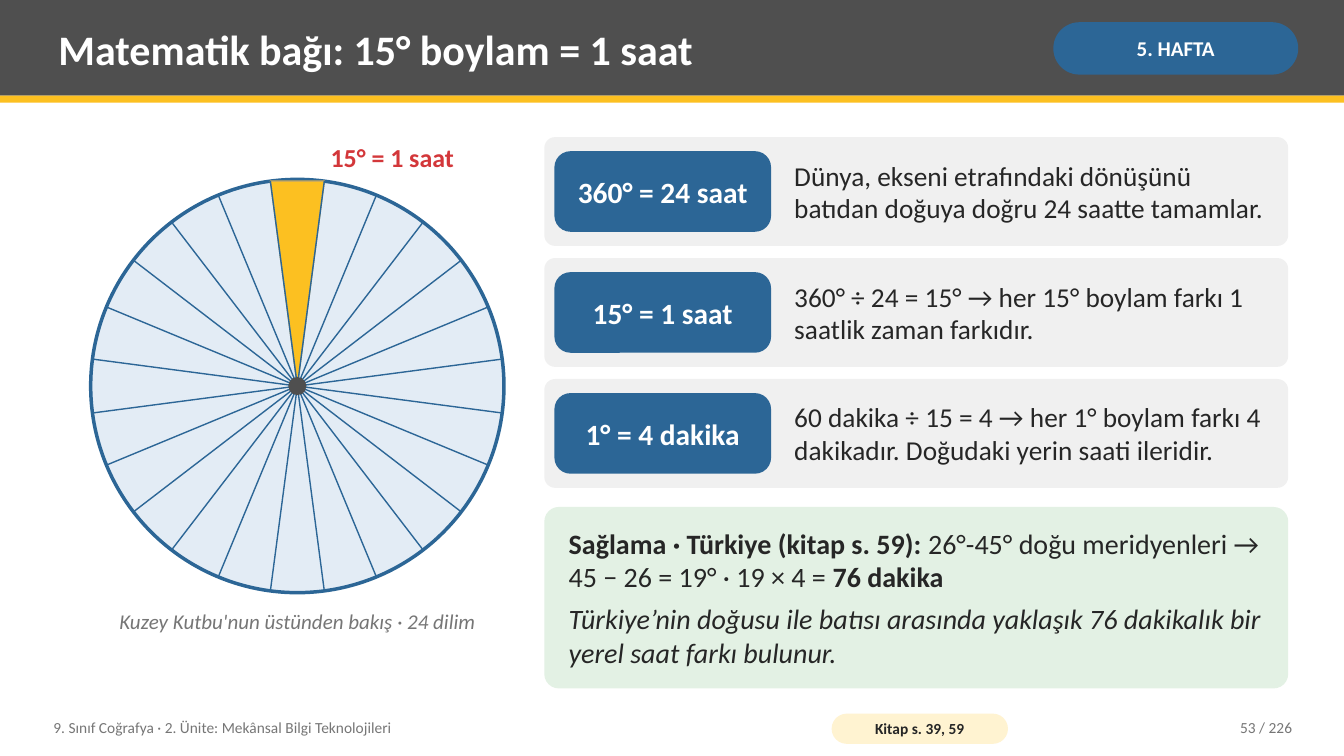
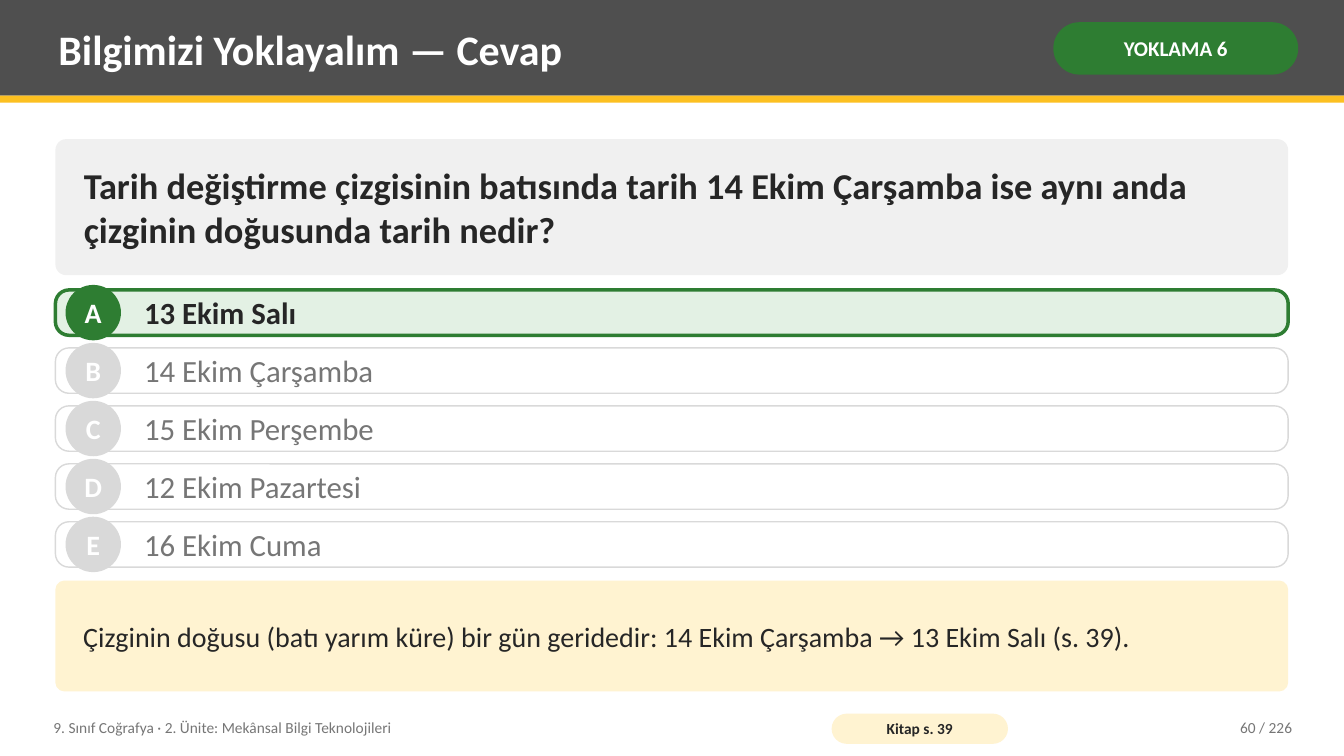
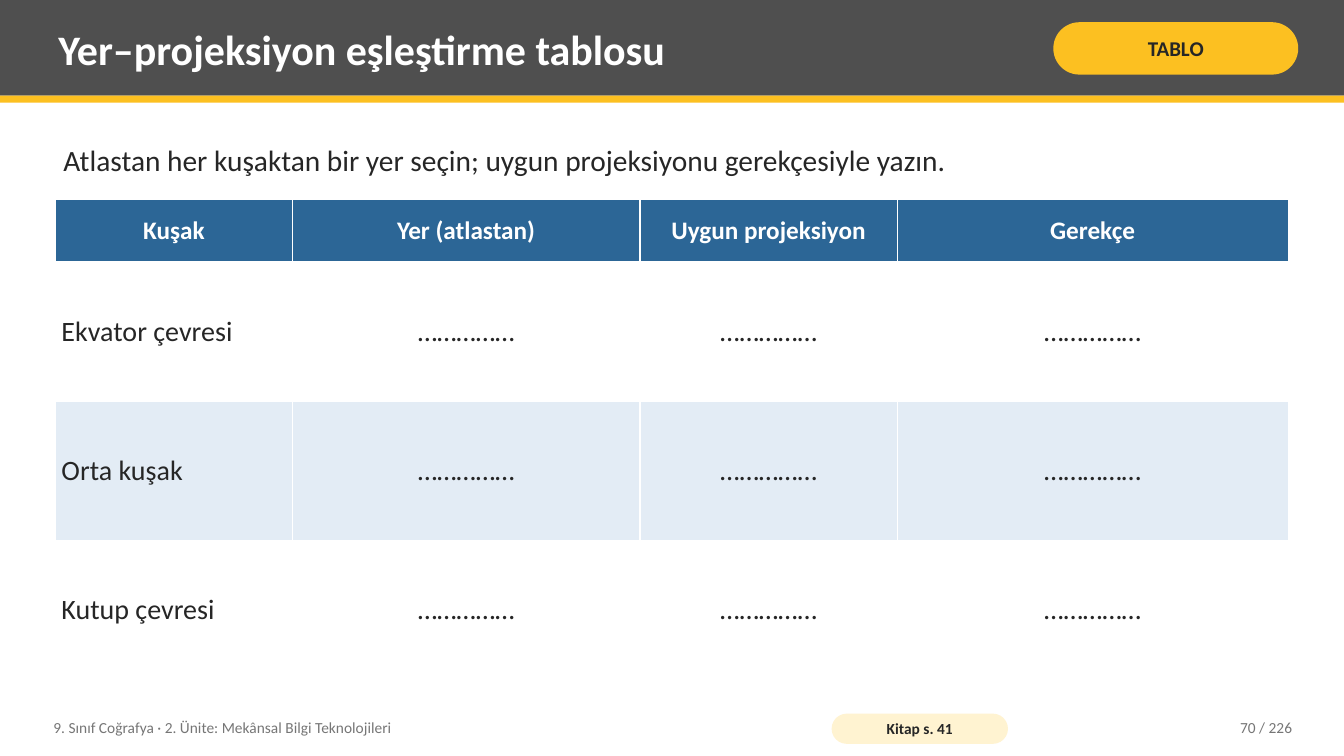
"""Build three geography lesson slides: a time wheel, a quiz answer and a matching table."""
from dataclasses import dataclass
from math import cos, pi, sin
from typing import Any, NamedTuple

from lxml import etree
from pptx import Presentation
from pptx.dml.color import RGBColor
from pptx.enum.shapes import MSO_CONNECTOR, MSO_SHAPE
from pptx.enum.text import MSO_ANCHOR, PP_ALIGN
from pptx.oxml.ns import qn
from pptx.util import Pt

RECT = MSO_SHAPE.RECTANGLE
ROUND = MSO_SHAPE.ROUNDED_RECTANGLE
OVAL = MSO_SHAPE.OVAL
WEDGE = MSO_SHAPE.FLOWCHART_MERGE
STRAIGHT = MSO_CONNECTOR.STRAIGHT
MIDDLE = MSO_ANCHOR.MIDDLE
LEFT, CENTER, RIGHT = PP_ALIGN.LEFT, PP_ALIGN.CENTER, PP_ALIGN.RIGHT


@dataclass(frozen=True)
class Theme:
    font: str = "Calibri"
    white: str = "FFFFFF"
    ink: str = "262626"
    muted: str = "767676"
    band: str = "4F4F4F"
    yellow: str = "FCC021"
    cream: str = "FFF3D1"
    gold: str = "CEAC58"
    blue: str = "2C6696"
    ice: str = "E3ECF5"
    green: str = "2E7D32"
    mint: str = "E3F1E4"
    red: str = "D3373A"
    panel: str = "F0F0F0"
    rule: str = "D9D9D9"
    title: float = 30
    question: float = 26
    option: float = 22
    lead: float = 21
    body: float = 20
    fact: float = 19.5
    callout: float = 18.5
    table_head: float = 18
    label: float = 15
    footer: float = 11


T = Theme()


class Box(NamedTuple):
    x: float
    y: float
    w: float
    h: float


class Run(NamedTuple):
    text: str
    size: float
    color: str = T.ink
    bold: bool = False
    italic: bool = False


class Line(NamedTuple):
    color: str
    width: float


class Fact(NamedTuple):
    rule: str
    reason: str


class Option(NamedTuple):
    letter: str
    text: str
    correct: bool = False


@dataclass(frozen=True)
class Page:
    title: str
    badge: str
    badge_fill: str
    book: str
    number: int
    badge_color: str = T.white


Insets = tuple[float, float]
Paragraphs = list[list[Run]]

PAGE_W, PAGE_H = 960, 540
MARGIN, CONTENT_W = 39.6, 880.56
TEXT_INSETS: Insets = (5.76, 2.88)
PANEL_INSETS: Insets = (18, 5.76)
PAGE_COUNT = 226
COURSE = "9. Sınıf Coğrafya · 2. Ünite: Mekânsal Bilgi Teknolojileri"

FACTS = [
    Fact("360° = 24 saat", "Dünya, ekseni etrafındaki dönüşünü batıdan doğuya doğru 24 saatte tamamlar."),
    Fact("15° = 1 saat", "360° ÷ 24 = 15° → her 15° boylam farkı 1 saatlik zaman farkıdır."),
    Fact("1° = 4 dakika", "60 dakika ÷ 15 = 4 → her 1° boylam farkı 4 dakikadır. Doğudaki yerin saati ileridir."),
]
CHECK: Paragraphs = [
    [
        Run("Sağlama · Türkiye (kitap s. 59):", T.body, bold=True),
        Run(" 26°-45° doğu meridyenleri → 45 − 26 = 19° · 19 × 4 = ", T.body),
        Run("76 dakika", T.body, bold=True),
    ],
    [Run("Türkiye’nin doğusu ile batısı arasında yaklaşık 76 dakikalık bir yerel saat farkı bulunur.",
         T.body, italic=True)],
]
QUESTION = ("Tarih değiştirme çizgisinin batısında tarih 14 Ekim Çarşamba ise aynı anda "
            "çizginin doğusunda tarih nedir?")
OPTIONS = [
    Option("A", "13 Ekim Salı", True),
    Option("B", "14 Ekim Çarşamba"),
    Option("C", "15 Ekim Perşembe"),
    Option("D", "12 Ekim Pazartesi"),
    Option("E", "16 Ekim Cuma"),
]
EXPLANATION = "Çizginin doğusu (batı yarım küre) bir gün geridedir: 14 Ekim Çarşamba → 13 Ekim Salı (s. 39)."
HEADERS = ["Kuşak", "Yer (atlastan)", "Uygun projeksiyon", "Gerekçe"]
ZONES = ["Ekvator çevresi", "Orta kuşak", "Kutup çevresi"]
BLANK = "……………"
COLUMN_WIDTHS = [169.2, 248.4, 183.6, 279.36]
HEAD_H, ZONE_H = 44.64, 99.36


def rgb(color: str) -> RGBColor:
    return RGBColor.from_string(color)


def set_all(target: Any, values: dict[str, Any]) -> None:
    for name, value in values.items():
        setattr(target, name, value)


def set_frame(target: Any, insets: Insets) -> None:
    across, down = map(Pt, insets)
    set_all(target, {"margin_left": across, "margin_right": across, "margin_top": down,
                     "margin_bottom": down, "vertical_anchor": MIDDLE})


def write(tf: Any, paragraphs: Paragraphs, align: PP_ALIGN, gap: float = 0) -> None:
    for i, runs in enumerate(paragraphs):
        p = tf.add_paragraph() if i else tf.paragraphs[0]
        p.alignment = align
        if i < len(paragraphs) - 1:
            p.space_after = Pt(gap)
        for run in runs:
            r = p.add_run()
            r.text = run.text
            set_all(r.font, {"name": T.font, "size": Pt(run.size),
                             "bold": run.bold, "italic": run.italic})
            r.font.color.rgb = rgb(run.color)


def add_text(s: Any, box: Box, run: Run, align: PP_ALIGN = LEFT) -> None:
    tf = s.shapes.add_textbox(*map(Pt, box)).text_frame
    tf.word_wrap = True
    set_frame(tf, TEXT_INSETS)
    write(tf, [[run]], align)


def add_shape(s: Any, kind: MSO_SHAPE, box: Box, fill: str, radius: float | None = None,
              line: Line | None = None) -> Any:
    sp = s.shapes.add_shape(kind, *map(Pt, box))
    sp.shadow.inherit = False
    sp.fill.solid()
    sp.fill.fore_color.rgb = rgb(fill)
    if radius is not None:
        sp.adjustments[0] = radius
    if line:
        sp.line.color.rgb = rgb(line.color)
        sp.line.width = Pt(line.width)
    else:
        sp.line.fill.background()
    return sp


def fill_text(sp: Any, paragraphs: Paragraphs, insets: Insets, align: PP_ALIGN = CENTER,
              wrap: bool = True, gap: float = 0) -> None:
    tf = sp.text_frame
    tf.word_wrap = wrap
    set_frame(tf, insets)
    write(tf, paragraphs, align, gap)


def add_spoke(s: Any, start: tuple[float, float], end: tuple[float, float]) -> None:
    cn = s.shapes.add_connector(STRAIGHT, *map(Pt, start + end))
    cn.line.color.rgb = rgb(T.blue)
    cn.line.width = Pt(1)
    etree.SubElement(cn._element.spPr, qn("a:effectLst"))


def add_page(prs: Any, page: Page) -> Any:
    s = prs.slides.add_slide(prs.slide_layouts[6])
    add_shape(s, RECT, Box(0, 0, PAGE_W, 68.4), T.band)
    add_shape(s, RECT, Box(0, 68.4, PAGE_W, 5.04), T.yellow)
    add_text(s, Box(36, 5.04, 702, 59.04), Run(page.title, T.title, T.white, True))
    badge = add_shape(s, ROUND, Box(752.4, 15.84, 174.96, 37.44), page.badge_fill, 0.5)
    fill_text(badge, [[Run(page.badge, T.label, page.badge_color, True)]], (3.6, 1.44))
    add_text(s, Box(32.4, 506.88, 547.2, 25.92), Run(COURSE, T.footer, T.muted))
    book = add_shape(s, ROUND, Box(594, 509.76, 126, 21.6), T.cream, 0.5)
    fill_text(book, [[Run(page.book, T.footer, bold=True)]], (2.88, 0))
    add_text(s, Box(813.6, 506.88, 115.2, 25.92),
             Run(f"{page.number} / {PAGE_COUNT}", T.footer, T.muted), RIGHT)
    return s


def draw_wheel(s: Any, cx: float, cy: float, radius: float, slices: int) -> None:
    step = 2 * pi / slices
    half_w, height = radius * sin(step / 2), radius * cos(step / 2)
    add_shape(s, OVAL, Box(cx - radius, cy - radius, 2 * radius, 2 * radius), T.ice,
              line=Line(T.blue, 2.5))
    add_shape(s, WEDGE, Box(cx - half_w, cy - height, 2 * half_w, height), T.yellow,
              line=Line(T.gold, 1))
    for i in range(slices):
        angle = (i + 0.5) * step
        add_spoke(s, (cx, cy), (cx + radius * sin(angle), cy - radius * cos(angle)))
    hub = 6.48
    add_shape(s, OVAL, Box(cx - hub, cy - hub, 2 * hub, 2 * hub), T.band)


def draw_fact(s: Any, fact: Fact, y: float) -> None:
    x, h, pill_h = 388.8, 77.76, 57.6
    add_shape(s, ROUND, Box(x, y, 531.36, h), T.panel, 0.1)
    pill = add_shape(s, ROUND, Box(x + 7.2, y + (h - pill_h) / 2, 154.8, pill_h), T.blue, 0.2)
    fill_text(pill, [[Run(fact.rule, T.lead, T.white, True)]], (2.88, 5.76))
    add_text(s, Box(x + 172.8, y, 354.96, h), Run(fact.reason, T.fact))


def draw_option(s: Any, option: Option, y: float) -> None:
    h, disc = 32.4, 39.6
    accent = T.green if option.correct else T.rule
    add_shape(s, ROUND, Box(MARGIN, y, CONTENT_W, h), T.mint if option.correct else T.white,
              0.3, Line(accent, 2.5 if option.correct else 1))
    sp = add_shape(s, OVAL, Box(MARGIN + 7.2, y + (h - disc) / 2, disc, disc), accent)
    fill_text(sp, [[Run(option.letter, T.body, T.white, True)]], (0, 0), wrap=False)
    add_text(s, Box(97.2, y, 808.56, h),
             Run(option.text, T.option, T.ink if option.correct else T.muted, option.correct))


def format_cell(cell: Any, run: Run, fill: str, align: PP_ALIGN) -> None:
    set_frame(cell, (4.32, 3.6))
    write(cell.text_frame, [[run]], align)
    tc_pr = cell._tc.get_or_add_tcPr()
    for side in ("lnL", "lnR", "lnT", "lnB"):
        ln = etree.SubElement(tc_pr, qn(f"a:{side}"), w=str(Pt(0.96)))
        solid = etree.SubElement(ln, qn("a:solidFill"))
        etree.SubElement(solid, qn("a:srgbClr"), val=T.white)
    cell.fill.solid()
    cell.fill.fore_color.rgb = rgb(fill)


def draw_table(s: Any, x: float, y: float) -> None:
    rows = [HEADERS] + [[zone] + [BLANK] * (len(HEADERS) - 1) for zone in ZONES]
    heights = [HEAD_H] + [ZONE_H] * len(ZONES)
    box = Box(x, y, sum(COLUMN_WIDTHS), sum(heights))
    table = s.shapes.add_table(len(rows), len(HEADERS), *map(Pt, box)).table
    for column, width in zip(table.columns, COLUMN_WIDTHS):
        column.width = Pt(width)
    for i, (texts, height) in enumerate(zip(rows, heights)):
        table.rows[i].height = Pt(height)
        for j, text in enumerate(texts):
            if i == 0:
                run, fill = Run(text, T.table_head, T.white, True), T.blue
            else:
                run, fill = Run(text, T.body), T.white if i % 2 else T.ice
            format_cell(table.cell(i, j), run, fill, LEFT if i and j == 0 else CENTER)


def build_time_slide(prs: Any) -> None:
    s = add_page(prs, Page("Matematik bağı: 15° boylam = 1 saat", "5. HAFTA", T.blue,
                           "Kitap s. 39, 59", 53))
    draw_wheel(s, 212.4, 275.76, 147.6, 24)
    add_text(s, Box(230.4, 97.92, 172.8, 28.8), Run("15° = 1 saat", T.callout, T.red, True))
    add_text(s, Box(54, 429.12, 316.8, 28.8),
             Run("Kuzey Kutbu'nun üstünden bakış · 24 dilim", T.label, T.muted, italic=True), CENTER)
    for i, fact in enumerate(FACTS):
        draw_fact(s, fact, 97.92 + i * 86.4)
    check = add_shape(s, ROUND, Box(388.8, 362.16, 531.36, 129.6), T.mint, 0.08)
    fill_text(check, CHECK, (14.4, 5.76), LEFT, gap=6)


def build_answer_slide(prs: Any) -> None:
    s = add_page(prs, Page("Bilgimizi Yoklayalım — Cevap", "YOKLAMA 6", T.green, "Kitap s. 39", 60))
    question = add_shape(s, ROUND, Box(MARGIN, 99.36, CONTENT_W, 97.2), T.panel, 0.08)
    fill_text(question, [[Run(QUESTION, T.question, bold=True)]], PANEL_INSETS, LEFT)
    for i, option in enumerate(OPTIONS):
        draw_option(s, option, 207.1 + i * 41.4)
    explanation = add_shape(s, ROUND, Box(MARGIN, 414.72, CONTENT_W, 79.2), T.cream, 0.08)
    fill_text(explanation, [[Run(EXPLANATION, T.body)]], PANEL_INSETS, LEFT)


def build_table_slide(prs: Any) -> None:
    s = add_page(prs, Page("Yer–projeksiyon eşleştirme tablosu", "TABLO", T.yellow,
                           "Kitap s. 41", 70, T.ink))
    add_text(s, Box(MARGIN, 92.16, CONTENT_W, 43.2),
             Run("Atlastan her kuşaktan bir yer seçin; uygun projeksiyonu gerekçesiyle yazın.", T.lead))
    draw_table(s, MARGIN, 142.56)


def main() -> None:
    prs = Presentation()
    set_all(prs, {"slide_width": Pt(PAGE_W), "slide_height": Pt(PAGE_H)})
    for build in (build_time_slide, build_answer_slide, build_table_slide):
        build(prs)
    prs.save("out.pptx")


if __name__ == "__main__":
    main()
